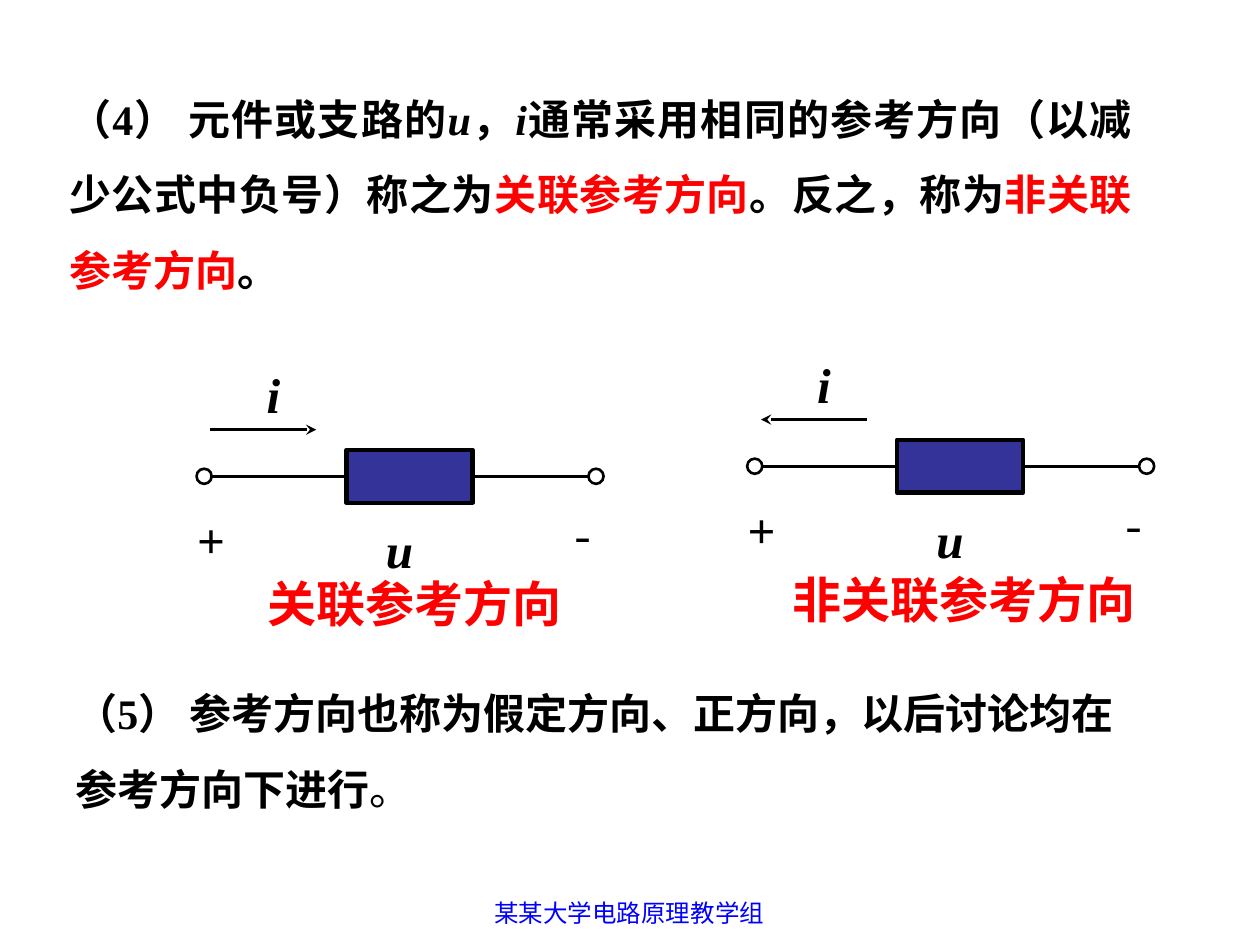
from pptx import Presentation
from pptx import util as u
from pptx.dml.color import RGBColor
from pptx.enum import shapes, text
from pptx.oxml.ns import qn
from lxml import etree

ROMAN, HAN = "Times New Roman", "Noto Sans CJK SC"
BLACK, RED, BLUE, NAVY, WHITE = "000000", "FF0000", "0000FF", "333399", "FFFFFF"
MID, LEFT, FULL = text.PP_ALIGN.CENTER, text.PP_ALIGN.LEFT, text.PP_ALIGN.JUSTIFY


def color(code):
    return RGBColor.from_string(code)


class Page:
    """Holds the current slide, the shapes being filled and the shared style."""

    def __init__(self, deck):
        self.slide = deck.slides.add_slide(deck.slide_layouts[6])
        self.home = self.slide.shapes
        self.into = self.home

    def group(self):
        self.into = self.home.add_group_shape().shapes

    def ungroup(self):
        self.into = self.home

    def stroke(self, item, width):
        item.line.color.rgb = color(BLACK)
        item.line.width = u.Pt(width)

    def shape(self, kind, x, y, w, h, fill, width):
        item = self.into.add_shape(kind, *map(u.Inches, (x, y, w, h)))
        item.shadow.inherit = False
        item.fill.solid()
        item.fill.fore_color.rgb = color(fill)
        self.stroke(item, width)
        return item

    def wire(self, x1, x2, y, head=False):
        line = self.into.add_connector(
            shapes.MSO_CONNECTOR.STRAIGHT, *map(u.Inches, (x1, y, x2, y)))
        self.stroke(line, 1.5)
        if head:
            etree.SubElement(line.line._get_or_add_ln(), qn("a:tailEnd"), type="stealth")
        etree.SubElement(line._element.spPr, qn("a:effectLst"))
        return line

    def text(self, x, y, w, h, runs, size=28, font=ROMAN, hue=BLACK, bold=True,
             align=MID, before=0, lines=1.0, wrap=True, grow=True):
        """Adds a text box; runs is a string or (string, format) pairs."""
        box = self.into.add_textbox(*map(u.Inches, (x, y, w, h)))
        frame = box.text_frame
        frame.word_wrap = wrap
        if grow:
            frame.auto_size = text.MSO_AUTO_SIZE.SHAPE_TO_FIT_TEXT
            frame.vertical_anchor = text.MSO_ANCHOR.MIDDLE
        para = frame.paragraphs[0]
        para.alignment, para.line_spacing = align, lines
        para.space_before = u.Pt(before)
        for words, form in [(runs, {})] if isinstance(runs, str) else runs:
            run = para.add_run()
            run.text = words
            run.font.size, run.font.name = u.Pt(size), font
            run.font.bold = form.get("bold", bold)
            run.font.italic = form.get("italic", False)
            run.font.color.rgb = color(form.get("hue", hue))
            etree.SubElement(run._r.get_or_add_rPr(), qn("a:ea"), typeface=HAN)

    def circuit(self, x, y, back=False):
        """Draws a two-terminal element; x, y is the left terminal's centre."""
        self.group()
        body = self.shape(shapes.MSO_SHAPE.RECTANGLE, x + 1.13, y - 0.21, 1, 0.42, NAVY, 2.5)
        self.wire(x + 0.05, x + 1.13, y).end_connect(body, 1)
        self.wire(x + 2.13, x + 3.14, y).begin_connect(body, 3)
        for end in (x, x + 3.11):
            self.shape(shapes.MSO_SHAPE.OVAL, end - 0.06, y - 0.06, 0.12, 0.12, WHITE, 1.5)
        ends = (x + 0.05, x + 0.89)
        self.wire(*(ends[::-1] if back else ends), y - 0.37, head=True)

        self.text(x - 0.28, y + 0.21, 0.67, 0.57, "+", before=17.5)
        self.text(x + 2.55, y + 0.18, 0.92, 0.57, "-", font=HAN, bold=False, before=17.5)
        for name, dx, dy in (("i", 0.05, -0.94), ("u", 1.05, 0.29)):
            self.text(x + dx, y + dy, 1, 0.57, [(name, {"italic": True})], before=17.5)
        self.ungroup()


def main():
    deck = Presentation()
    deck.slide_width, deck.slide_height = u.Inches(10), u.Inches(7.5)
    page = Page(deck)
    slant, mark = {"italic": True}, {"hue": RED}

    page.text(0.45, 0.49, 8.63, 1.9, [
        ("（4） 元件或支路的", {}), ("u", slant), ("，", {}), ("i", slant),
        ("通常采用相同的参考方向（以减少公式中负号）称之为", {}),
        ("关联参考方向", mark), ("。反之，称为", {}),
        ("非关联参考方向", mark), ("。", {}),
    ], size=24, align=FULL, before=15, lines=1.5)

    page.circuit(1.62, 3.78)
    page.circuit(5.99, 3.7, back=True)
    page.text(1.77, 4.5, 3.04, 0.57, "关联参考方向", hue=RED)
    page.text(6.19, 4.47, 2.92, 0.57, "非关联参考方向", hue=RED, wrap=False)

    page.text(0.5, 5.21, 8.76, 1.3, [
        ("（5） 参考方向也称为假定方向、正方向，以后讨论均在参考方向下进行", {}),
        ("。", {"bold": False}),
    ], size=24, align=LEFT, lines=1.5)
    page.text(3.41, 7.08, 3.17, 0.27, "某某大学电路原理教学组", size=14,
              font="Arial", hue=BLUE, bold=False, grow=False)
    deck.save("out.pptx")


if __name__ == "__main__":
    main()
